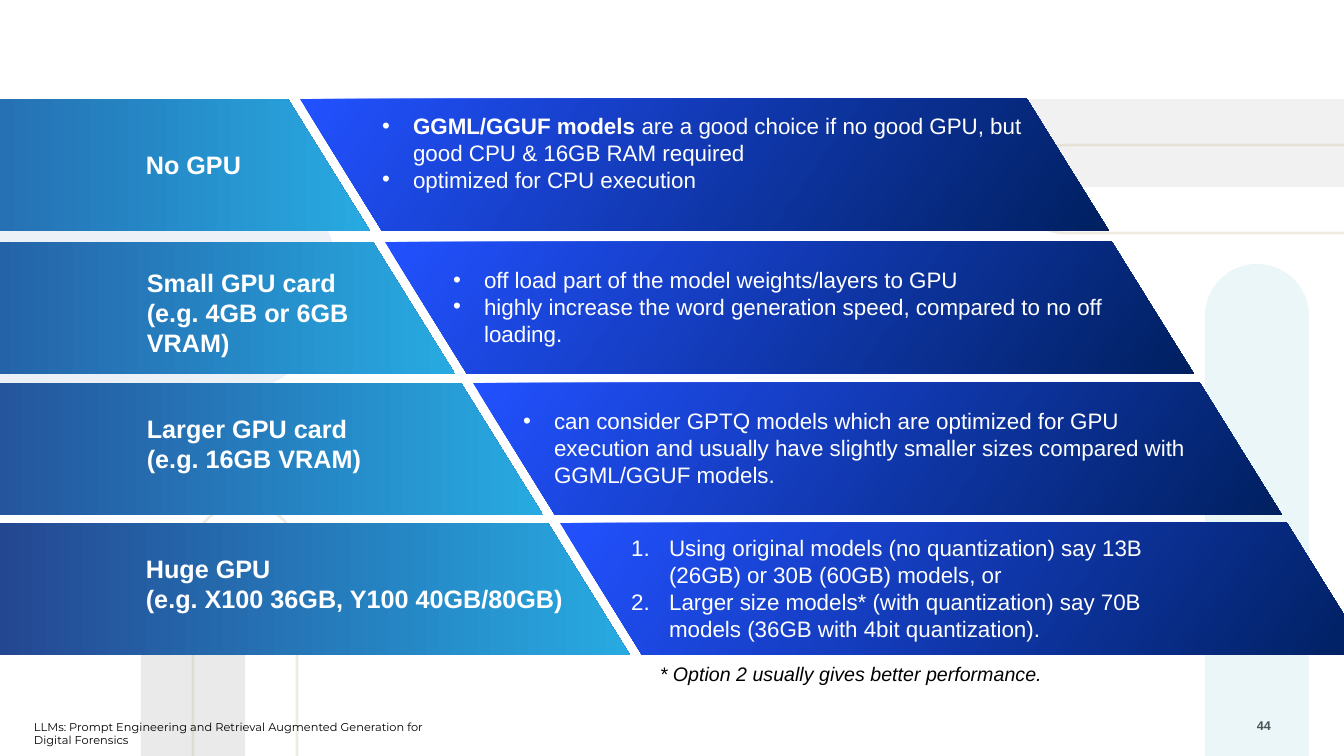
from lxml import etree
from pptx import Presentation
from pptx.dml.color import RGBColor
from pptx.enum.shapes import MSO_SHAPE
from pptx.enum.text import MSO_ANCHOR, MSO_AUTO_SIZE, PP_ALIGN
from pptx.oxml.ns import qn
from pptx.util import Emu, Pt

PX = 914400 / 100.8
ROUND_TOP = MSO_SHAPE.ROUND_2_SAME_RECTANGLE
TOP, BOTTOM = MSO_ANCHOR.TOP, MSO_ANCHOR.BOTTOM
LEFT, RIGHT = PP_ALIGN.LEFT, PP_ALIGN.RIGHT
NO_AUTOFIT = MSO_AUTO_SIZE.NONE

COLORS = {
    "aqua": "DAEEF3", "gray": "D8D8D8", "silver": "E7E6E6", "ice": "DAE5F1",
    "sand": "C4BD97", "navy": "24307F", "sky": "27AAE1", "blue": "2251FF",
    "midnight": "002060", "white": "FFFFFF", "black": "000000", "slate": "48535B",
}

LABEL = {"size": 18, "color": "white", "bold": True}
DETAIL = {"size": 16, "color": "white", "bold": False}
NOTE = {"size": 14, "color": "black", "italic": True}
FOOTER = {"size": 8.1, "color": "black", "name": "Montserrat"}
NUMBER = {"size": 9, "color": "slate", "bold": True}

DECORATIONS = [
    ((1205, 264, 104, 509), 0, "aqua", False),
    ((141, 534, 104, 239), 0, "gray", False),
    ((1122, -56, 88, 398), 270, "silver", False),
    ((49, 106, 234, 344), 90, "ice", False),
    ((193, 503, 104, 270), 0, "sand", True),
    ((1149, 17, 88, 344), 270, "sand", True),
]

BAR_HEIGHT, SLANT, GAP = 132, 82, 12
LABEL_WIDTH, DETAIL_WIDTH = 694, 727

TIERS = [
    {"top": 99, "split": 288, "label_box": (136, 144, 245, 40),
     "label": ["No GPU"], "detail_box": (372, 107, 669, 119), "bullet": "•",
     "detail": [[("GGML/GGUF models ", True),
                 ("are a good choice if no good GPU, but good CPU & 16GB RAM required", False)],
                "optimized for CPU execution"]},
    {"top": 242, "split": 373, "label_box": (137, 262, 245, 102),
     "label": ["Small GPU card", "(e.g. 4GB or 6GB VRAM)"],
     "detail_box": (443, 261, 697, 92), "bullet": "•",
     "detail": ["off load part of the model weights/layers to GPU",
                "highly increase the word generation speed, compared to no off loading."]},
    {"top": 383, "split": 461, "label_box": (137, 408, 289, 71),
     "label": ["Larger GPU card", "(e.g. 16GB VRAM)"],
     "detail_box": (513, 402, 693, 92), "bullet": "•",
     "detail": ["can consider GPTQ models which are optimized for GPU execution and "
                "usually have slightly smaller sizes compared with GGML/GGUF models."]},
    {"top": 523, "split": 548, "label_box": (136, 548, 451, 71),
     "label": ["Huge GPU", "(e.g. X100 36GB, Y100 40GB/80GB)"],
     "detail_box": (621, 529, 600, 119), "bullet": "1.",
     "detail": ["Using original models (no quantization) say 13B (26GB) or 30B (60GB) models, or",
                "Larger size models* (with quantization) say 70B models (36GB with 4bit quantization)."]},
]


def px(n):
    """Turn pixels into EMU."""
    return Emu(round(n * PX))


def rgb(name):
    """Look up a colour by name."""
    return RGBColor.from_string(COLORS[name])


def add_decoration(s, box, rotation, color, outlined):
    """Add a translucent pill, either filled or outlined."""
    sp = s.shapes.add_shape(ROUND_TOP, *map(px, box))
    sp.shadow.inherit = False
    sp.rotation = rotation
    sp.adjustments[0], sp.adjustments[1] = 0.5, 0
    if outlined:
        sp.fill.background()
        sp.line.width = Pt(2)
        paint = sp.line.fill
    else:
        sp.line.fill.background()
        paint = sp.fill
    paint.solid()
    paint.fore_color.rgb = rgb(color)
    for clr in sp.element.spPr.iter(qn("a:srgbClr")):
        etree.SubElement(clr, qn("a:alpha"), val="28000" if outlined else "52000")


def add_bar(s, left, top, width, colors, angle):
    """Add a slanted bar with a two-colour gradient."""
    bottom = top + BAR_HEIGHT
    builder = s.shapes.build_freeform(left, top, scale=PX)
    builder.add_line_segments([(left + width, top), (left + width + SLANT, bottom),
                               (left + SLANT, bottom)], close=True)
    sp = builder.convert_to_shape()
    sp.shadow.inherit = False
    sp.line.fill.background()
    sp.fill.gradient()
    sp.fill.gradient_angle = angle
    for stop, color in zip(sp.fill.gradient_stops, colors):
        stop.color.rgb = rgb(color)


def add_bullet(p, bullet):
    """Give a paragraph a hanging bullet or number."""
    pPr = p._p.get_or_add_pPr()
    indent = px(31 if bullet == "•" else 38)
    pPr.set("marL", str(indent))
    pPr.set("indent", str(-indent))
    etree.SubElement(pPr, qn("a:buFont"), typeface="Arial")
    if bullet == "•":
        etree.SubElement(pPr, qn("a:buChar"), char=bullet)
    else:
        etree.SubElement(pPr, qn("a:buAutoNum"), type="arabicPeriod")


def write(tf, paragraphs, fmt, bullet=None, align=LEFT, anchor=TOP):
    """Fill a text frame with formatted paragraphs."""
    tf.word_wrap = True
    tf.auto_size = NO_AUTOFIT
    tf.vertical_anchor = anchor
    for i, runs in enumerate(paragraphs):
        p = tf.add_paragraph() if i else tf.paragraphs[0]
        p.alignment = align
        p.space_before = Pt(0)
        if bullet:
            add_bullet(p, bullet)
        for text, bold in [(runs, fmt.get("bold"))] if isinstance(runs, str) else runs:
            r = p.add_run()
            r.text = text
            values = {"name": fmt.get("name", "Arial"), "size": Pt(fmt["size"]),
                      "bold": bold, "italic": fmt.get("italic")}
            for key, value in values.items():
                setattr(r.font, key, value)
            r.font.color.rgb = rgb(fmt["color"])


def add_text(s, box, paragraphs, fmt, **layout):
    """Add a text box and return its text frame."""
    tf = s.shapes.add_textbox(*map(px, box)).text_frame
    write(tf, paragraphs, fmt, **layout)
    return tf


def place_list(s, ph, tier):
    """Move a body placeholder to the front, over its bar, and fill it."""
    s.shapes.element.append(ph.element)
    for key, value in zip(("left", "top", "width", "height"), tier["detail_box"]):
        setattr(ph, key, px(value))
    write(ph.text_frame, tier["detail"], DETAIL, bullet=tier["bullet"])


def main():
    """Build and save the slide."""
    prs = Presentation()
    prs.slide_width, prs.slide_height = px(1344), px(756)
    s = prs.slides.add_slide(prs.slide_layouts.get_by_name("Comparison"))
    title, *bodies = list(s.placeholders)
    s.shapes.element.remove(title.element)
    for decoration in DECORATIONS:
        add_decoration(s, *decoration)
    number = add_text(s, (1083, 718, 188, 15), ["44"], NUMBER, align=RIGHT, anchor=BOTTOM)
    for side in ("left", "top", "right", "bottom"):
        setattr(number, f"margin_{side}", 0)
    for tier, body in zip(TIERS, bodies):
        top, split = tier["top"], tier["split"]
        add_bar(s, split - LABEL_WIDTH, top, LABEL_WIDTH, ("navy", "sky"), 0)
        add_bar(s, split + GAP, top, DETAIL_WIDTH, ("blue", "midnight"), 325)
        add_text(s, tier["label_box"], tier["label"], LABEL)
        place_list(s, body, tier)
    add_text(s, (650, 657, 888, 34), ["* Option 2 usually gives better performance."], NOTE)
    add_text(s, (24, 715, 428, 29),
             ["LLMs: Prompt Engineering and Retrieval Augmented Generation for Digital Forensics"],
             FOOTER)
    prs.save("out.pptx")


if __name__ == "__main__":
    main()
